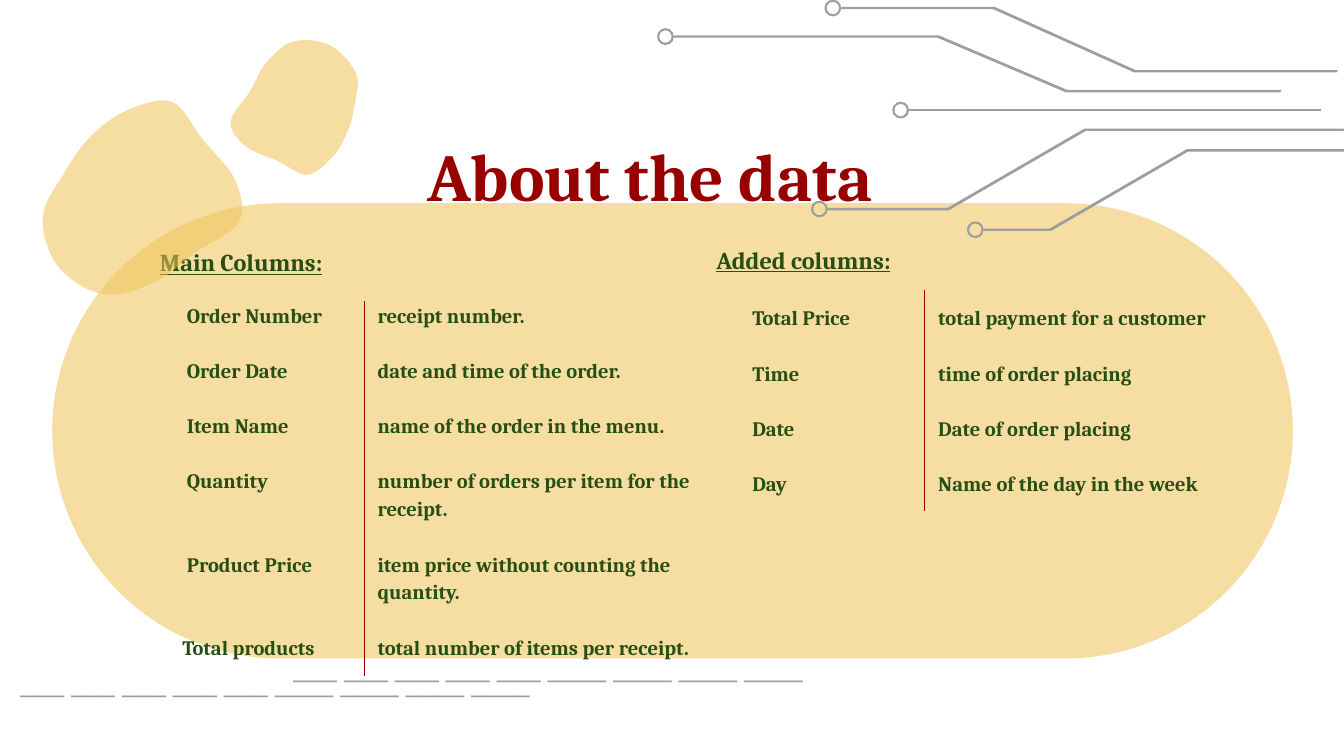
from lxml.etree import SubElement
from pptx import Presentation
from pptx.dml.color import RGBColor
from pptx.enum.shapes import MSO_SHAPE
from pptx.enum.text import MSO_ANCHOR, MSO_AUTO_SIZE, PP_ALIGN
from pptx.oxml import parse_xml
from pptx.oxml.ns import nsdecls, qn
from pptx.util import Pt

GREEN = "274E13"
RED = "980000"
GREY = "9E9E9E"
YELLOW = "F0C458"
INSET = 7.2
NO_STYLE = "{2D5ABB26-0587-4C30-8999-92F81FD0307C}"

MAIN_COLUMNS = [
    ("Order Number", "receipt number."),
    ("Order Date", "date and time of the order."),
    ("Item Name", "name of the order in the menu."),
    ("Quantity", "number of orders per item for the receipt."),
    ("Product Price", "item price without counting the quantity."),
    ("Total products", "total number of items per receipt."),
]
ADDED_COLUMNS = [
    ("Total Price", "total payment for a customer"),
    ("Time", "time of order placing"),
    ("Date", "Date of order placing"),
    ("Day", "Name of the day in the week"),
]
TRACES = [
    [(443.5, 112), (508, 112), (581.4, 69.5), (720, 69.5)],
    [(527, 123.1), (562.7, 123.1), (636.1, 80.6), (766, 80.6)],
    [(487, 59), (707.8, 59)],
    [(361, 19.6), (502.6, 19.6), (571.3, 48.8), (686.2, 48.8)],
    [(450.7, 4.3), (532.4, 4.3), (608, 38.2), (716.4, 38.2)],
]
LARGE_BLOB = [
    (23, 115.9), (31, 142.6), (55.4, 157.7), (82.8, 151.2), (104.4, 135.4),
    (128, 119), (126, 96.5), (108.7, 74.9), (92.2, 54.7), (68.4, 59),
    (49, 72.7), (35.3, 91.4),
]
SMALL_BLOB = [
    (190.8, 39.6), (177.1, 24.5), (157, 22.3), (142.6, 33.8), (133.9, 49),
    (123.5, 65.5), (131.8, 78.5), (149, 86.4), (164.9, 93.6), (178.6, 83.5),
    (186.5, 69.8), (190.1, 55.4),
]


def color(value):
    return RGBColor.from_string(value)


def style_font(font, name, size, value, bold=False, underline=False):
    font.name = name
    font.size = Pt(size)
    font.color.rgb = color(value)
    font.bold = bold
    font.underline = underline


def set_insets(frame, top=INSET):
    frame.margin_left = frame.margin_right = frame.margin_bottom = Pt(INSET)
    frame.margin_top = Pt(top)


def paint(shape, value, opacity=None):
    shape.shadow.inherit = False
    shape.fill.solid()
    shape.fill.fore_color.rgb = color(value)
    shape.line.fill.background()
    if opacity is not None:
        solid_fill = shape._element.spPr.find(qn("a:solidFill"))
        SubElement(solid_fill[0], qn("a:alpha")).set("val", str(opacity * 1000))


def add_title(slide, text):
    title = slide.shapes.title
    title.left, title.top, title.width, title.height = Pt(103), Pt(64.8), Pt(490.3), Pt(58.3)
    frame = title.text_frame
    frame.text = text
    frame.word_wrap = True
    frame.auto_size = MSO_AUTO_SIZE.SHAPE_TO_FIT_TEXT
    frame.vertical_anchor = MSO_ANCHOR.TOP
    set_insets(frame)
    paragraph = frame.paragraphs[0]
    paragraph.alignment = PP_ALIGN.CENTER
    style_font(paragraph.font, "Cambria", 36, RED, bold=True)


def add_panel(slide):
    panel = slide.shapes.add_shape(
        MSO_SHAPE.ROUNDED_RECTANGLE, Pt(28), Pt(108.9), Pt(664.6), Pt(243.9))
    panel.adjustments[0] = 0.5
    paint(panel, YELLOW, 55)


def add_border(cell, side, position):
    border = parse_xml(
        f'<a:{side} {nsdecls("a")} w="{Pt(0.75)}"><a:solidFill>'
        f'<a:srgbClr val="{RED}"/></a:solidFill></a:{side}>')
    cell._tc.get_or_add_tcPr().insert(position, border)


def fill_cell(cell, text, size, top=INSET, indent=0, underline=False):
    cell.text = text
    cell.fill.background()
    set_insets(cell, top)
    paragraph = cell.text_frame.paragraphs[0]
    paragraph.line_spacing = 1.15
    paragraph.space_before = paragraph.space_after = Pt(12)
    paragraph._p.get_or_add_pPr().set("marL", str(Pt(indent)))
    style_font(paragraph.font, "Cambria", size, GREEN, bold=True, underline=underline)


def add_column_table(slide, left, top, widths, heights, heading, entries, indents, tight_rows):
    frame = slide.shapes.add_table(
        len(heights), 2, Pt(left), Pt(top), Pt(sum(widths)), Pt(sum(heights)))
    table = frame.table
    table.first_row = table.horz_banding = False
    table._tbl.tblPr.find(qn("a:tableStyleId")).text = NO_STYLE
    for column, width in zip(table.columns, widths):
        column.width = Pt(width)
    for row, height in zip(table.rows, heights):
        row.height = Pt(height)
    table.cell(0, 0).merge(table.cell(0, 1))
    fill_cell(table.cell(0, 0), heading, 13, 0 if tight_rows else INSET, underline=True)
    for index, ((name, meaning), indent) in enumerate(zip(entries, indents), 1):
        inset = 0 if index < tight_rows else INSET
        name_cell, meaning_cell = table.cell(index, 0), table.cell(index, 1)
        fill_cell(name_cell, name, 11, inset, indent)
        fill_cell(meaning_cell, meaning, 11, inset)
        add_border(name_cell, "lnR", 0)
        add_border(meaning_cell, "lnL", 0)


def add_polygon(shapes, points, value, opacity=None):
    corners = [(Pt(x), Pt(y)) for x, y in points]
    builder = shapes.build_freeform(*corners[0], scale=1.0)
    builder.add_line_segments(corners[1:], close=True)
    paint(builder.convert_to_shape(), value, opacity)


def add_trace(group, points, half=0.65, diameter=9):
    (left, start), end = points[0], points[-1][1]
    slant = 0.36 * ((start > end) - (start < end))
    lower = [(x + slant, y + half) for x, y in points]
    upper = [(x - slant, y - half) for x, y in reversed(points)]
    add_polygon(group.shapes, lower + upper, GREY)
    ring = group.shapes.add_shape(
        MSO_SHAPE.DONUT, Pt(left - diameter), Pt(start - diameter / 2), Pt(diameter), Pt(diameter))
    ring.adjustments[0] = 0.13
    paint(ring, GREY)


def smooth_outline(anchors, steps=8):
    outline = []
    for index in range(len(anchors)):
        window = [anchors[(index + offset) % len(anchors)] for offset in (-1, 0, 1, 2)]
        for step in range(steps):
            t = step / steps
            outline.append(tuple(
                b + t * (c - a) / 2 + t**2 * (2 * a - 5 * b + 4 * c - d) / 2
                + t**3 * (3 * b - a - 3 * c + d) / 2
                for a, b, c, d in zip(*window)))
    return outline


def add_dashes(slide, left, top):
    box = slide.shapes.add_textbox(Pt(left), Pt(top), Pt(403.2), Pt(31.7))
    frame = box.text_frame
    frame.word_wrap = True
    frame.auto_size = MSO_AUTO_SIZE.SHAPE_TO_FIT_TEXT
    set_insets(frame)
    frame.text = " " + " ".join(["___"] * 5 + ["____"] * 4)
    style_font(frame.paragraphs[0].font, "Arial", 14, GREY)


def main():
    presentation = Presentation()
    presentation.slide_width, presentation.slide_height = Pt(720), Pt(405)
    slide = presentation.slides.add_slide(presentation.slide_layouts[5])
    add_title(slide, "About the data")
    add_panel(slide)
    add_column_table(
        slide, 78.5, 131.8, [116.6, 205.9], [29.5, 13.7, 18.7, 18.7, 29.5, 29.5, 28],
        "Main Columns:", MAIN_COLUMNS, [14.4] * 5 + [12], 2)
    add_column_table(
        slide, 376.6, 123.1, [118.8, 247], [20.2, 26.6, 28, 27.4, 27.4],
        "Added columns:", ADDED_COLUMNS, [19.2] * 4, 0)
    circuit = slide.shapes.add_group_shape()
    for trace in TRACES:
        add_trace(circuit, trace)
    for blob in (LARGE_BLOB, SMALL_BLOB):
        add_polygon(slide.shapes, smooth_outline(blob), YELLOW, 55)
    add_dashes(slide, 146.2, 342)
    add_dashes(slide, 0, 350)
    presentation.save("out.pptx")


if __name__ == "__main__":
    main()
